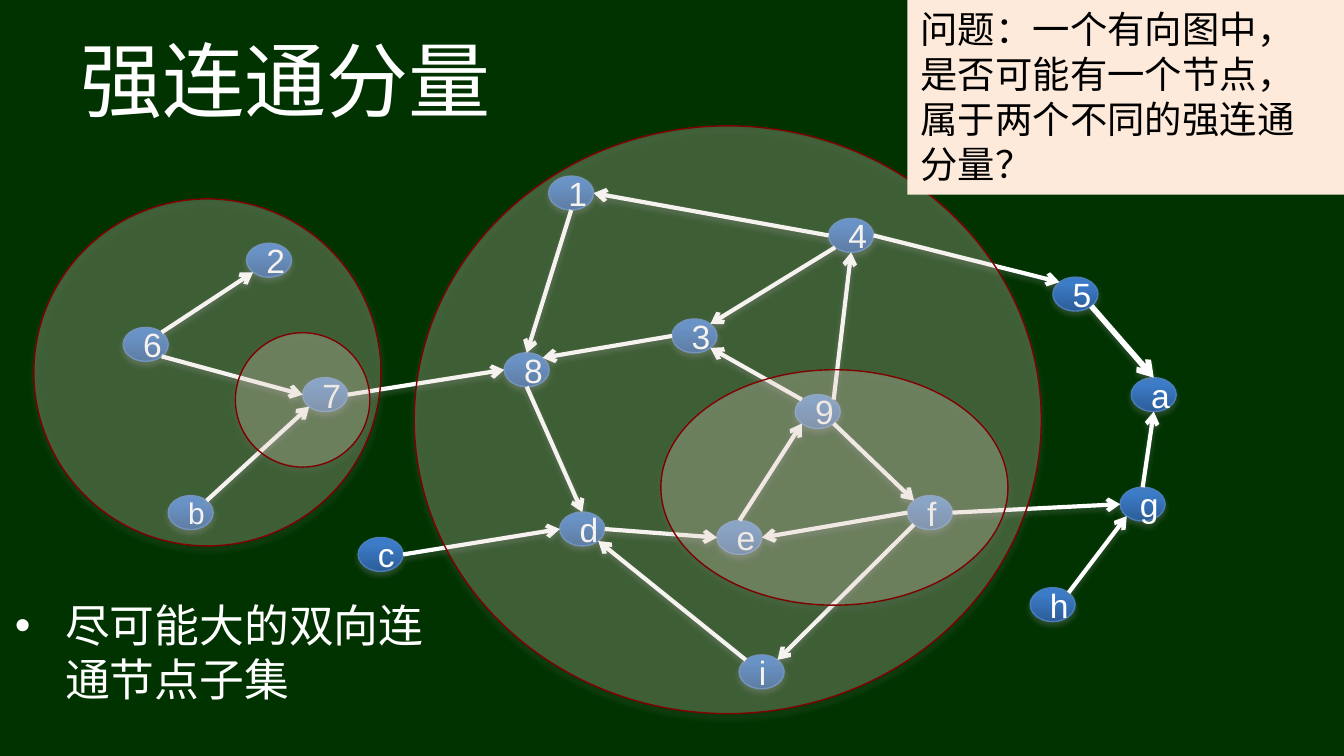
import copy
import math

from lxml import etree
from pptx import Presentation
from pptx import util as u
from pptx.dml.color import RGBColor
from pptx.enum import shapes, text
from pptx.oxml import ns

GREEN = RGBColor(0x00, 0x33, 0x00)
WHITE = RGBColor(0xFF, 0xFF, 0xFF)
BLACK = RGBColor(0x00, 0x00, 0x00)
CREAM = RGBColor(0xFD, 0xEA, 0xDA)
DARK_RED = RGBColor(0x80, 0x00, 0x00)
NODE_EDGE = RGBColor(0x4A, 0x7E, 0xBB)
SHADOW = RGBColor(0x80, 0x80, 0x80)
NODE_BLUES = [
    (0, RGBColor(0x3A, 0x7C, 0xCB)),
    (0.2, RGBColor(0x3C, 0x7B, 0xC7)),
    (1, RGBColor(0x2C, 0x5D, 0x98)),
]
FONT = "Arial"

# All lengths below are in cm
SLIDE_W, SLIDE_H = 25.4, 14.29
NODE_W, NODE_H = 0.85, 0.64

# Node label: left, top
NODES = {
    "4": (15.66, 4.13), "3": (12.7, 6.03), "d": (10.58, 9.68),
    "c": (6.77, 10.16), "b": (3.18, 9.37), "7": (5.72, 7.14),
    "6": (2.33, 6.19), "8": (9.53, 6.67), "1": (10.37, 3.33),
    "2": (4.66, 4.6), "f": (17.15, 9.37), "9": (15.03, 7.46),
    "e": (13.55, 9.84), "5": (19.9, 5.24), "a": (21.38, 7.14),
    "g": (21.17, 9.21), "h": (19.47, 11.11), "i": (13.97, 12.38),
}

# Start node, side it leaves from, end node, side it arrives at
EDGES = [
    "4 W 1 E", "4 SW 3 NE", "4 E 5 NW", "5 SE a N", "g N a S", "h NE g SW",
    "9 SE f NW", "9 NE 4 S", "d E e W", "f W e E", "i NW d SE", "f SW i NE",
    "f E g W", "9 NW 3 SE", "3 W 8 NE", "e N 9 SW", "7 E 8 W", "8 S d N",
    "1 S 8 N", "6 SE 7 W", "6 NE 2 SW", "b NE 7 SW", "c E d W",
]
BOLD_EDGE = "5 SE a N"
COMPASS = ["E", "SE", "S", "SW", "W", "NW", "N", "NE"]


def cm_box(box):
    return [u.Cm(length) for length in box]


def add_run(paragraph, words, size, color):
    run = paragraph.add_run()
    run.text = words
    run.font.name = FONT
    run.font.size = u.Pt(size)
    run.font.color.rgb = color


def add_shadow(part, alpha, distance):
    """Give a shape or connector a soft shadow that falls straight down."""
    properties = part._element.spPr
    effects = properties.find(ns.qn("a:effectLst"))
    if effects is None:
        effects = etree.SubElement(properties, ns.qn("a:effectLst"))
    shadow = etree.SubElement(
        effects, ns.qn("a:outerShdw"), blurRad=str(u.Pt(3.1)),
        dist=str(u.Pt(distance)), dir="5400000", rotWithShape="0")
    color = etree.SubElement(shadow, ns.qn("a:srgbClr"), val=str(SHADOW))
    etree.SubElement(color, ns.qn("a:alpha"), val=str(alpha * 1000))


def add_ellipse(slide, box, edge_color):
    ellipse = slide.shapes.add_shape(shapes.MSO_SHAPE.OVAL, *cm_box(box))
    ellipse.line.color.rgb = edge_color
    ellipse.line.width = u.Pt(0.75)
    ellipse.shadow.inherit = False
    add_shadow(ellipse, 35, 1.8)
    return ellipse


def add_text_box(slide, box, words, size, color):
    holder = slide.shapes.add_textbox(*cm_box(box))
    holder.text_frame.word_wrap = True
    add_run(holder.text_frame.paragraphs[0], words, size, color)
    return holder


def add_title(slide, box):
    title = add_text_box(slide, box, "强连通分量", 44, WHITE)
    title.text_frame.vertical_anchor = text.MSO_ANCHOR.MIDDLE


def add_definition(slide, box):
    definition = add_text_box(slide, box, "尽可能大的双向连通节点子集", 24, WHITE)
    paragraph = definition.text_frame.paragraphs[0]
    paragraph.space_before = u.Pt(4.8)
    # Hanging bullet
    properties = paragraph._p.get_or_add_pPr()
    indent = u.Cm(0.95)
    properties.set("marL", str(indent))
    properties.set("indent", str(-indent))
    etree.SubElement(properties, ns.qn("a:buFont"), typeface=FONT)
    etree.SubElement(properties, ns.qn("a:buChar"), char="•")


def add_question(slide, box):
    question = add_text_box(
        slide, box,
        "问题：一个有向图中，是否可能有一个节点，属于两个不同的强连通分量？",
        20, BLACK)
    question.fill.solid()
    question.fill.fore_color.rgb = CREAM


def add_node(slide, box, label):
    node = add_ellipse(slide, box, NODE_EDGE)
    node.fill.gradient()
    node.fill.gradient_angle = 270
    first_stop = node._element.spPr.find(".//" + ns.qn("a:gs"))
    first_stop.addnext(copy.deepcopy(first_stop))
    for stop, (position, color) in zip(node.fill.gradient_stops, NODE_BLUES):
        stop.color.rgb = color
        stop.position = position
    node.text_frame.vertical_anchor = text.MSO_ANCHOR.MIDDLE
    paragraph = node.text_frame.paragraphs[0]
    paragraph.alignment = text.PP_ALIGN.CENTER
    add_run(paragraph, label, 16 if label == "b" else 18, WHITE)


def node_side(box, side):
    """Point on the node's outline in a compass direction."""
    left, top, width, height = box
    angle = COMPASS.index(side) * math.pi / 4
    return (u.Cm(left + width / 2 * (1 + math.cos(angle))),
            u.Cm(top + height / 2 * (1 + math.sin(angle))))


def add_edge(slide, start, end, width):
    edge = slide.shapes.add_connector(
        shapes.MSO_CONNECTOR.STRAIGHT, *start, *end)
    edge.line.color.rgb = WHITE
    edge.line.width = u.Pt(width)
    etree.SubElement(edge.line._get_or_add_ln(), ns.qn("a:tailEnd"), type="arrow")
    add_shadow(edge, 38, 1.6)


def add_graph(slide, box):
    left, top = box[:2]
    node_boxes = {label: (left + x, top + y, NODE_W, NODE_H)
                  for label, (x, y) in NODES.items()}
    for label, node_box in node_boxes.items():
        add_node(slide, node_box, label)
    for edge in EDGES:
        source, exit_side, target, entry_side = edge.split()
        add_edge(slide, node_side(node_boxes[source], exit_side),
                 node_side(node_boxes[target], entry_side),
                 3 if edge == BOLD_EDGE else 2.25)


def add_component(slide, box):
    """Translucent ellipse around a group of nodes."""
    component = add_ellipse(slide, box, DARK_RED)
    component.fill.solid()
    component.fill.fore_color.rgb = CREAM
    color = component._element.spPr.find(
        ns.qn("a:solidFill")).find(ns.qn("a:srgbClr"))
    etree.SubElement(color, ns.qn("a:alpha"), val="22000")


def main():
    deck = Presentation()
    deck.slide_width, deck.slide_height = u.Cm(SLIDE_W), u.Cm(SLIDE_H)
    slide = deck.slides.add_slide(deck.slide_layouts[6])
    slide.background.fill.solid()
    slide.background.fill.fore_color.rgb = GREEN

    add_title(slide, (1.27, 0.58, 22.86, 1.8))
    add_definition(slide, (0.03, 11.18, 8.89, 2.69))
    add_graph(slide, (0, 0, SLIDE_W, SLIDE_H))

    # The question covers the large component; the others lie above it
    add_component(slide, (7.83, 2.38, 11.85, 11.11))
    add_question(slide, (17.15, 0, 8.25, 3.68))
    for box in [(12.49, 6.99, 6.56, 4.45), (0.64, 3.76, 6.56, 6.56),
                (4.45, 6.29, 2.54, 2.54)]:
        add_component(slide, box)

    deck.save("out.pptx")


if __name__ == "__main__":
    main()
